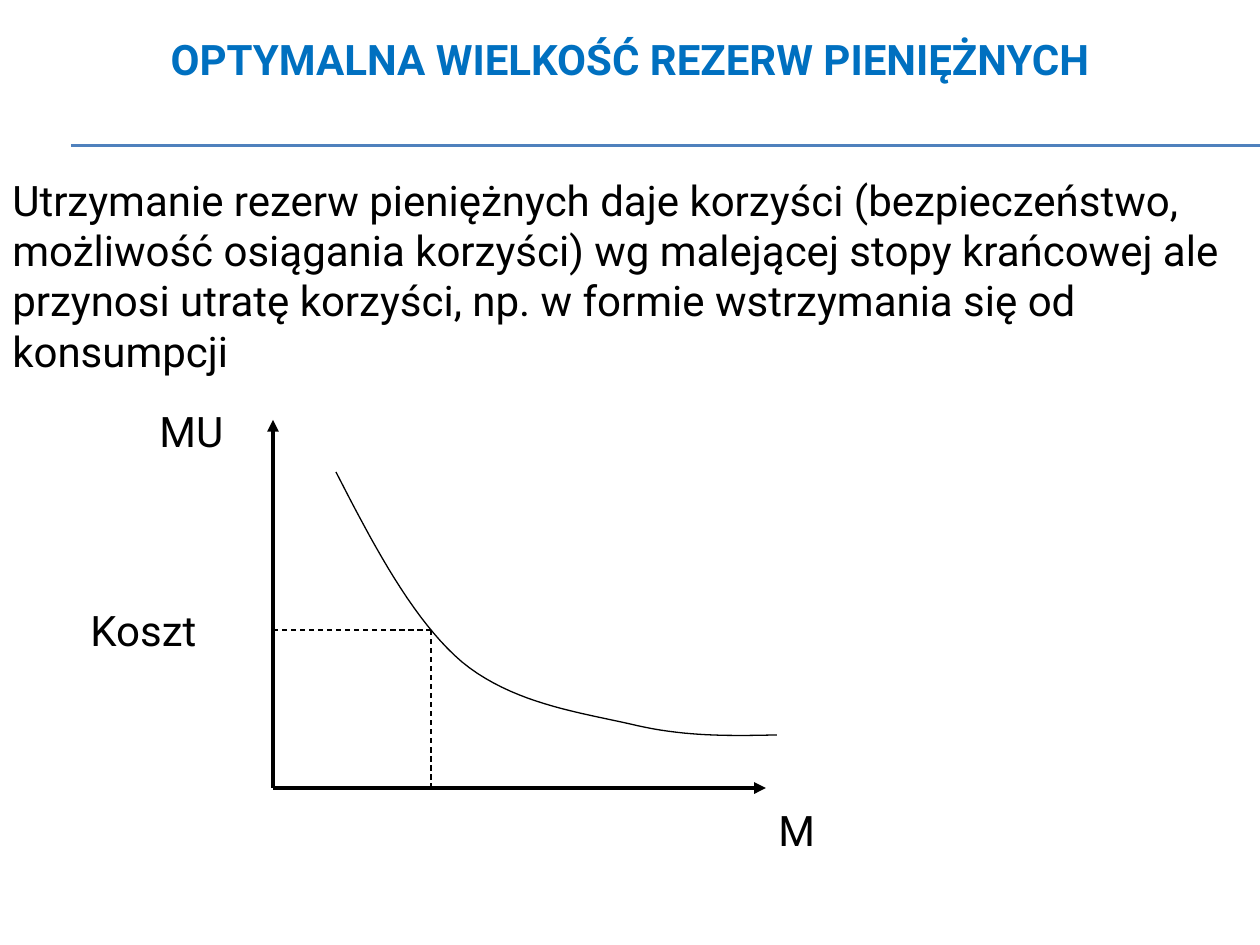
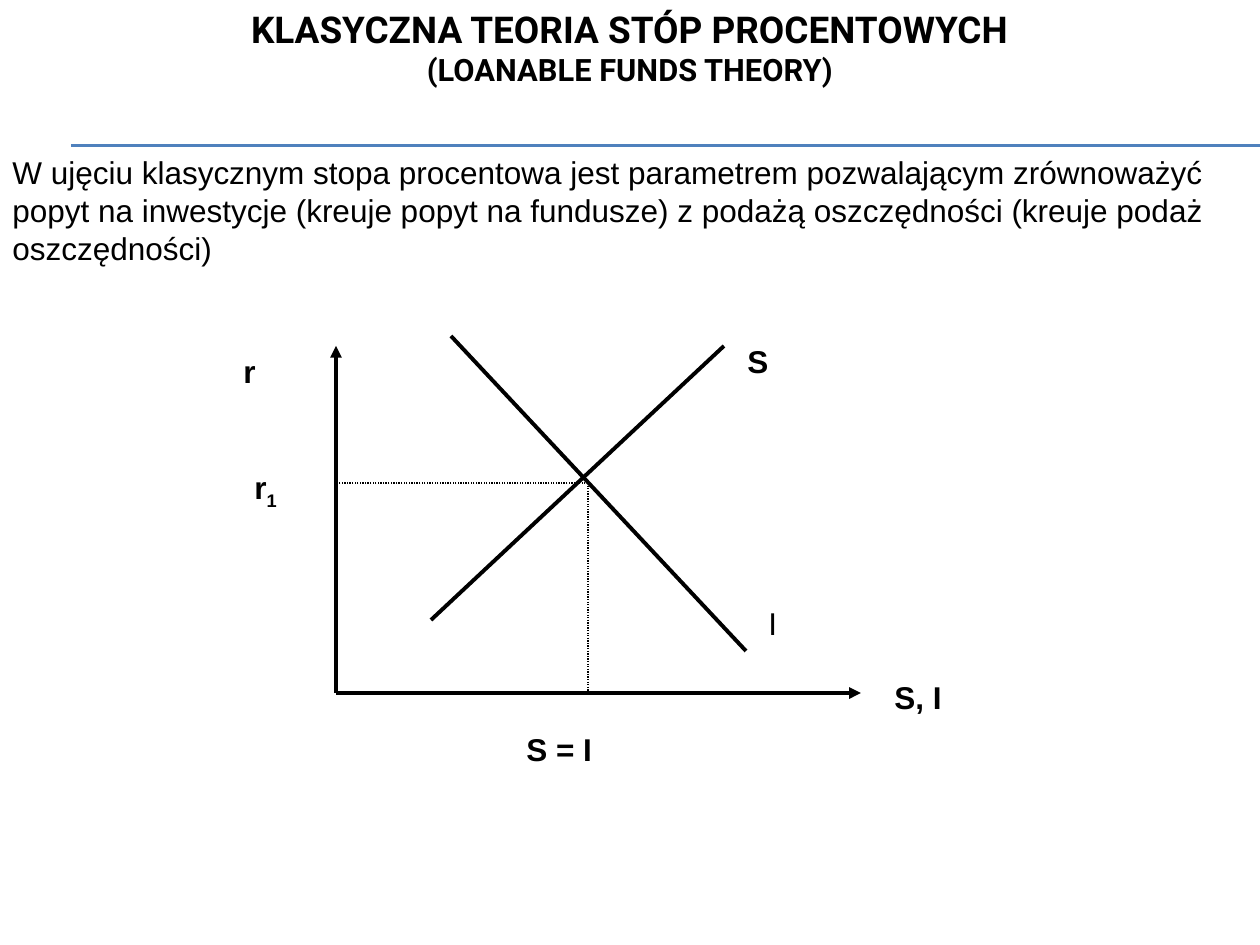
from dataclasses import dataclass
from lxml.etree import SubElement
from pptx import Presentation
from pptx.dml.color import RGBColor
from pptx.enum.dml import MSO_LINE
from pptx.enum.shapes import MSO_CONNECTOR
from pptx.enum.text import MSO_ANCHOR, MSO_AUTO_SIZE, PP_ALIGN
from pptx.oxml.ns import qn
from pptx.util import Pt

PX = 914400 / 126  # EMU in one px


@dataclass(frozen=True)
class Theme:
    ink: RGBColor = RGBColor(0, 0, 0)
    blue: RGBColor = RGBColor(0x00, 0x70, 0xC0)
    rule: RGBColor = RGBColor(0x4F, 0x81, 0xBD)
    head: str = "Roboto"
    plain: str = "Arial"
    large: float = 24
    mid: float = 21.1
    small: float = 18
    sub: float = 17.6
    thin: float = 0.75
    thick: float = 2.25


T = Theme()


def write(home, place, runs, font, gap=0, color=T.ink):
    """Fill a title, or a new text box, with (text, size, bold, baseline) runs."""
    spot = [round(n * PX) for n in place]
    title = gap == 0
    if title:
        box = home.title
        box.left, box.top, box.width, box.height = spot
    else:
        box = home.add_textbox(*spot)
    frame = box.text_frame
    frame.word_wrap = True
    frame.auto_size = MSO_AUTO_SIZE.NONE if title else MSO_AUTO_SIZE.SHAPE_TO_FIT_TEXT
    frame.vertical_anchor = MSO_ANCHOR.MIDDLE if title else MSO_ANCHOR.TOP
    para = frame.paragraphs[0]
    para.alignment = PP_ALIGN.CENTER if title else PP_ALIGN.LEFT
    para.space_before = Pt(gap)
    for num, (text, size, bold, base) in enumerate(runs):
        if title and num:
            para.add_line_break()
        run = para.add_run()
        run.text = text
        run.font.name, run.font.size, run.font.bold = font, Pt(size), bold
        run.font.color.rgb = color
        if base:
            run._r.get_or_add_rPr().set("baseline", str(base))


def draw(home, ends, width, color=T.ink, dash=None, arrow=False):
    """Draw a straight line between two points, (x1, y1, x2, y2)."""
    link = home.add_connector(MSO_CONNECTOR.STRAIGHT, *[round(n * PX) for n in ends])
    link.line.width = Pt(width)
    link.line.color.rgb = color
    if dash:
        link.line.dash_style = dash
    props = link.element.spPr
    if arrow:
        SubElement(props.find(qn("a:ln")), qn("a:tailEnd"), type="triangle")
    SubElement(props, qn("a:effectLst"))
    return link


deck = Presentation()
deck.slide_width, deck.slide_height = round(1260 * PX), round(945 * PX)
layout = deck.slide_layouts[5]

# Slide 1: title and text
money = deck.slides.add_slide(layout).shapes

# Double rule under the title, shared through the layout
for y in (145, 146):
    rule = draw(money, (71, y, 1260, y), T.thin, T.rule)
    layout.shapes.element.append(rule.element)

write(money, (94, 0, 1072, 118),
      [("OPTYMALNA WIELKOŚĆ REZERW PIENIĘŻNYCH", T.large, True, 0)],
      T.head, color=T.blue)
write(money, (0, 168, 1260, 214),
      [("Utrzymanie rezerw pieniężnych daje korzyści (bezpieczeństwo, możliwość "
        "osiągania korzyści) wg malejącej stopy krańcowej ale przynosi utratę "
        "korzyści, np. w formie wstrzymania się od konsumpcji", T.large, False, 0)],
      T.head, 12)

# Axes
for ends in ((273, 788, 273, 420), (273, 788, 766, 788)):
    draw(money, ends, T.thick, arrow=True)

# Marginal utility curve: three cubic arcs, sampled
knots = [(336, 472), (374, 546), (413, 620), (462, 662), (512, 703),
         (577, 712), (630, 724), (683, 737), (730, 736), (777, 735)]
steps = 20
curve = []
for i in range(0, len(knots) - 1, 3):
    for k in range(1, steps + 1):
        t = k / steps
        parts = ((1 - t) ** 3, 3 * t * (1 - t) ** 2, 3 * t * t * (1 - t), t ** 3)
        curve.append([round(PX * sum(w * p[axis] for w, p in zip(parts, knots[i:i + 4])))
                      for axis in (0, 1)])
pen = money.build_freeform(*[round(n * PX) for n in knots[0]], scale=1.0)
pen.add_line_segments(curve, close=False)
bend = pen.convert_to_shape()
bend.shadow.inherit = False
bend.fill.background()
bend.line.color.rgb = T.ink
bend.line.width = Pt(T.thin)

# Optimum guides and labels
for ends in ((273, 630, 431, 630), (431, 630, 431, 788)):
    draw(money, ends, T.thin, dash=MSO_LINE.DASH)
for text, x, y, w in (("MU", 147, 399, 95), ("M", 766, 798, 136), ("Koszt", 78, 598, 173)):
    write(money, (x, y, w, 63), [(text, T.large, False, 0)], T.head, 12)

# Slide 2: title and text
rates = deck.slides.add_slide(layout).shapes
write(rates, (94, 0, 1072, 94),
      [("KLASYCZNA TEORIA STÓP PROCENTOWYCH", T.mid, True, 0),
       ("(LOANABLE FUNDS THEORY)", T.sub, True, 0)], T.head)
write(rates, (0, 147, 1260, 126),
      [("W ujęciu klasycznym stopa procentowa jest parametrem pozwalającym "
        "zrównoważyć popyt na inwestycje (kreuje popyt na fundusze) z podażą "
        "oszczędności (kreuje podaż oszczędności)", T.small, False, 0)],
      T.plain, 6)

# Grouped graph: axes, supply and demand, labels
graph = rates.add_group_shape().shapes
for ends in ((336, 693, 336, 346), (336, 693, 861, 693)):
    draw(graph, ends, T.thick, arrow=True)
for ends in ((431, 620, 724, 346), (451, 336, 746, 651)):
    draw(graph, ends, T.thick)
for text, x, y, w, bold in (("r", 231, 346, 63, True), ("S, I", 882, 672, 116, True),
                            ("S", 735, 336, 63, True), ("I", 756, 598, 73, False)):
    write(graph, (x, y, w, 50), [(text, T.small, bold, 0)], T.plain, 6)

# Balance point guides and labels
for ends in ((588, 483, 588, 693), (588, 483, 336, 483)):
    draw(rates, ends, T.thin, dash=MSO_LINE.ROUND_DOT)
write(rates, (514, 724, 147, 50), [("S = I", T.small, True, 0)], T.plain, 6)
write(rates, (242, 462, 73, 55),
      [("r", T.small, True, 0), ("1", T.small, True, -25000)], T.plain, 6)

deck.save("out.pptx")
